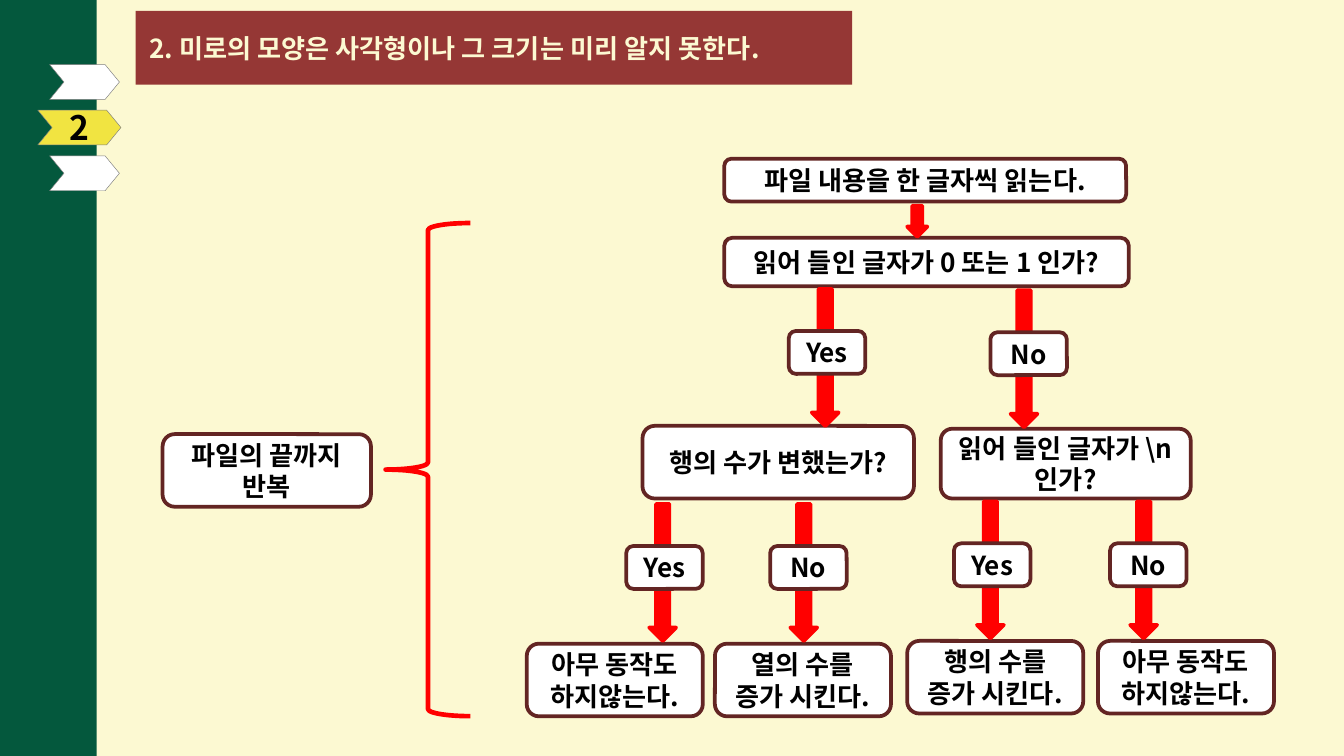
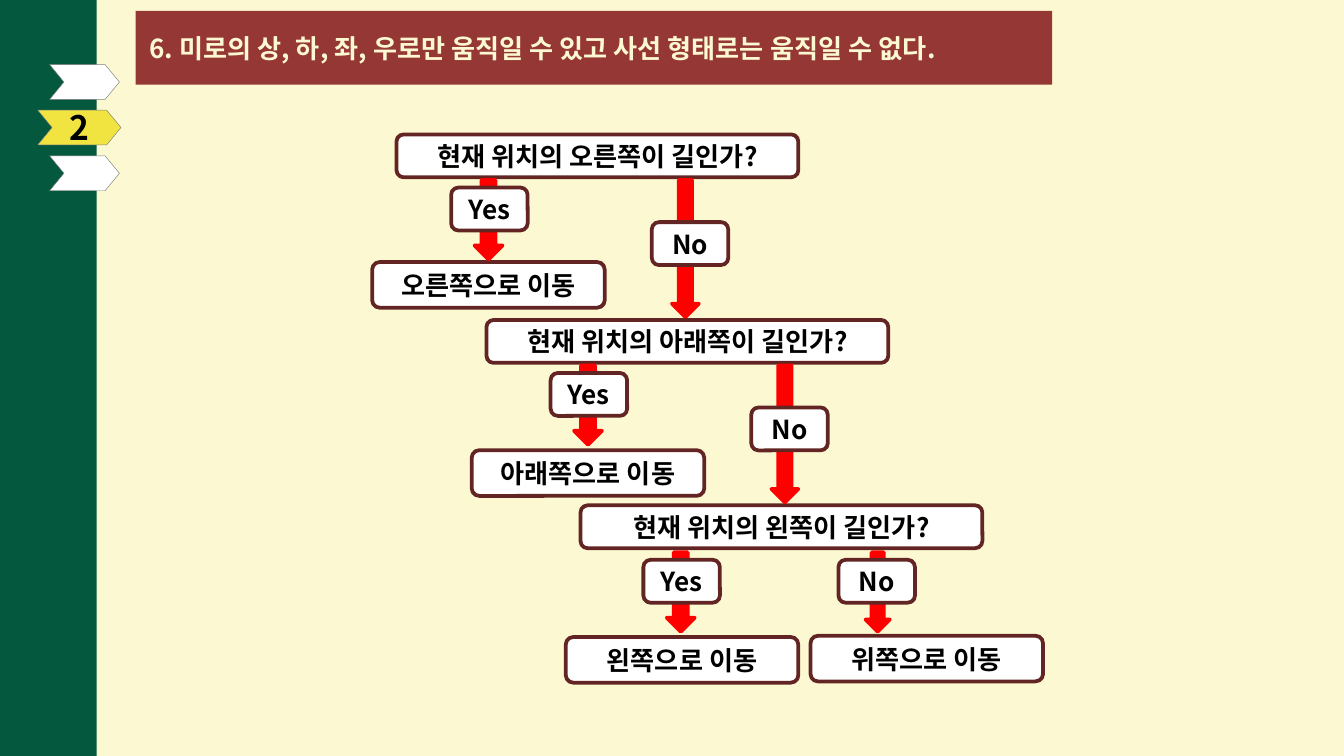
from lxml.etree import SubElement
from pptx import Presentation
from pptx.dml.color import RGBColor
from pptx.enum.shapes import MSO_SHAPE
from pptx.enum.text import MSO_ANCHOR, MSO_AUTO_SIZE, PP_ALIGN
from pptx.oxml.ns import qn
from pptx.util import Pt

FACE = "Noto Sans CJK KR"
HUES = {
    "page": "FCF9D2", "band": "04583D", "title": "953735", "tab": "FFFFFF",
    "now": "F1E441", "edge": "808080", "box": "FFFFFF", "rim": "632523",
    "flow": "FF0000", "text": "000000",
}
WIDE, HIGH = 720, 405
BAND = (0, 0, 51.8, HIGH)
TABS = [  # place, fill, label
    ((26.6, 83.5, 37.4, 18.7), "tab", ""),
    ((20.2, 59, 44.6, 18.7), "now", "2"),
    ((26.6, 34.6, 37.4, 18.7), "tab", ""),
]
TAG = (41, 23)
# arrow width, arrow length, gap above the tag, tag shift to the right by label
KINDS = {
    "long": (14.4, 73.4, 22.5, {"Yes": 1, "No": 2.5}),
    "short": (15, 42.5, 4, {"Yes": 0.5}),
    "slim": (13, 42.5, 4, {"No": -0.5}),
}

# boxes: {size: [(text, left, top)]}; branches: (label, kind, arrow middle, top)
SLIDES = [
    {
        "title": "2. 미로의 모양은 사각형이나 그 크기는 미리 알지 못한다.",
        "width": 383.8,
        "boxes": {
            (215.3, 23): [("파일 내용을 한 글자씩 읽는다.", 388, 85)],
            (216.7, 26): [("읽어 들인 글자가 0 또는 1 인가?", 388, 127.4)],
            (145.4, 38.9): [("행의 수가 변했는가?", 344.2, 228.2)],
            (133.9, 37.4): [("읽어 들인 글자가 \\n 인가?", 504, 229.7)],
            (111.6, 38.9): [("파일의 끝까지 반복", 87.1, 232.6)],
            (94.3, 38.9): [
                ("아무 동작도 하지않는다.", 282.2, 344.9),
                ("열의 수를 증가 시킨다.", 383, 344.9),
                ("행의 수를 증가 시킨다.", 486, 343.4),
                ("아무 동작도 하지않는다.", 588.2, 343.4),
            ],
        },
        "branches": [
            ("Yes", "long", 442.1, 154.8), ("No", "long", 548.6, 155.5),
            ("Yes", "long", 355, 270), ("No", "long", 430.6, 270),
            ("Yes", "long", 530.6, 268.6), ("No", "long", 612.7, 268.6),
        ],
        "arrow": (486, 110.2, 10.8, 16.6),
        "brace": (206.6, 119.5, 45.4, 264.2),
    },
    {
        "title": "6. 미로의 상, 하, 좌, 우로만 움직일 수 있고 사선 형태로는 움직일 수 없다.",
        "width": 491,
        "boxes": {
            (215.3, 23): [
                ("현재 위치의 오른쪽이 길인가?", 212.4, 72),
                ("현재 위치의 아래쪽이 길인가?", 260.6, 171.4),
                ("현재 위치의 왼쪽이 길인가?", 311, 270.7),
            ],
            (124.6, 24.5): [
                ("오른쪽으로 이동", 199.4, 140.4),
                ("아래쪽으로 이동", 252.7, 241.2),
                ("왼쪽으로 이동", 303.1, 341.3),
                ("위쪽으로 이동", 434.2, 340.6),
            ],
        },
        "branches": [
            ("Yes", "short", 261.7, 96.5), ("No", "long", 367.2, 96.5),
            ("Yes", "short", 315, 195.8), ("No", "long", 420.5, 195.8),
            ("Yes", "short", 364.7, 295.9), ("No", "slim", 470.2, 295.9),
        ],
    },
]


def hue(name):
    return RGBColor.from_string(HUES[name])


def place(shape, spot):
    for name, value in zip(("left", "top", "width", "height"), spot):
        setattr(shape, name, Pt(value))


def write(shape, text, size=14, color="text", align=PP_ALIGN.CENTER):
    frame = shape.text_frame
    look = {"word_wrap": True, "auto_size": MSO_AUTO_SIZE.NONE,
            "vertical_anchor": MSO_ANCHOR.MIDDLE}
    for name, value in look.items():
        setattr(frame, name, value)
    para = frame.paragraphs[0]
    para.alignment = align
    run = para.add_run()
    run.text = text
    for name, value in {"name": FACE, "size": Pt(size), "bold": True}.items():
        setattr(run.font, name, value)
    run.font.color.rgb = hue(color)
    SubElement(run.font._element, qn("a:ea"), typeface=FACE)


def draw(slide, form, spot, fill=None, line=None, weight=2):
    shape = slide.shapes.add_shape(form, *map(Pt, spot))
    shape.shadow.inherit = False
    for part, color in ((shape.fill, fill), (shape.line.fill, line)):
        if color:
            part.solid()
            part.fore_color.rgb = hue(color)
        else:
            part.background()
    if line:
        shape.line.width = Pt(weight)
    return shape


def add_rail(slide):
    """Draw the green band and its section tabs."""
    draw(slide, MSO_SHAPE.RECTANGLE, BAND, "band")
    for spot, fill, label in TABS:
        tab = draw(slide, MSO_SHAPE.CHEVRON, spot, fill, "edge", 0.25)
        tab.adjustments[0] = 0.412
        if label:
            write(tab, label, 18)


def add_title(slide, text, width):
    title = slide.shapes.title
    place(title, (72.7, 5.8, width, 39.6))
    geom = SubElement(title._element.spPr, qn("a:prstGeom"), prst="roundRect")
    SubElement(geom, qn("a:avLst"))
    title.fill.solid()
    title.fill.fore_color.rgb = hue("title")
    write(title, text, color="page", align=PP_ALIGN.LEFT)


def add_box(slide, text, spot):
    box = draw(slide, MSO_SHAPE.ROUNDED_RECTANGLE, spot, "box", "rim")
    write(box, text)


def add_arrow(slide, spot):
    draw(slide, MSO_SHAPE.DOWN_ARROW, spot, "flow", "flow")


def add_branch(slide, label, kind, mid, top):
    """Draw an arrow with its answer tag on it."""
    width, length, gap, shift = KINDS[kind]
    add_arrow(slide, (mid - width / 2, top, width, length))
    left = mid + shift[label] - TAG[0] / 2
    add_box(slide, label, (left, top + gap, *TAG))


def build(deck, data):
    slide = deck.slides.add_slide(deck.slide_layouts[5])
    back = slide.background.fill
    back.solid()
    back.fore_color.rgb = hue("page")
    add_rail(slide)
    add_title(slide, data["title"], data["width"])
    for size, boxes in data["boxes"].items():
        for text, left, top in boxes:
            add_box(slide, text, (left, top, *size))
    for branch in data["branches"]:
        add_branch(slide, *branch)
    if "arrow" in data:
        add_arrow(slide, data["arrow"])
    if "brace" in data:
        draw(slide, MSO_SHAPE.LEFT_BRACE, data["brace"], None, "flow", 2.5)


def main():
    deck = Presentation()
    deck.slide_width, deck.slide_height = Pt(WIDE), Pt(HIGH)
    for data in SLIDES:
        build(deck, data)
    deck.save("out.pptx")


if __name__ == "__main__":
    main()
